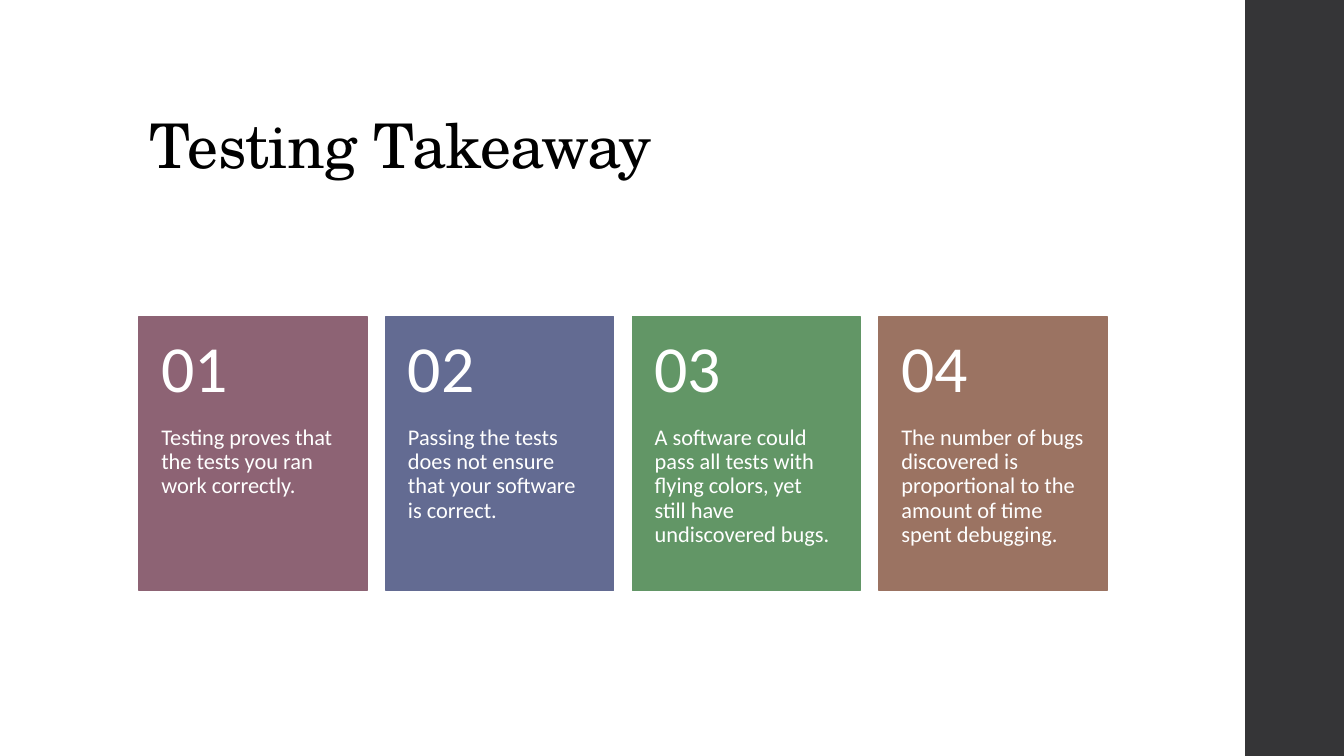
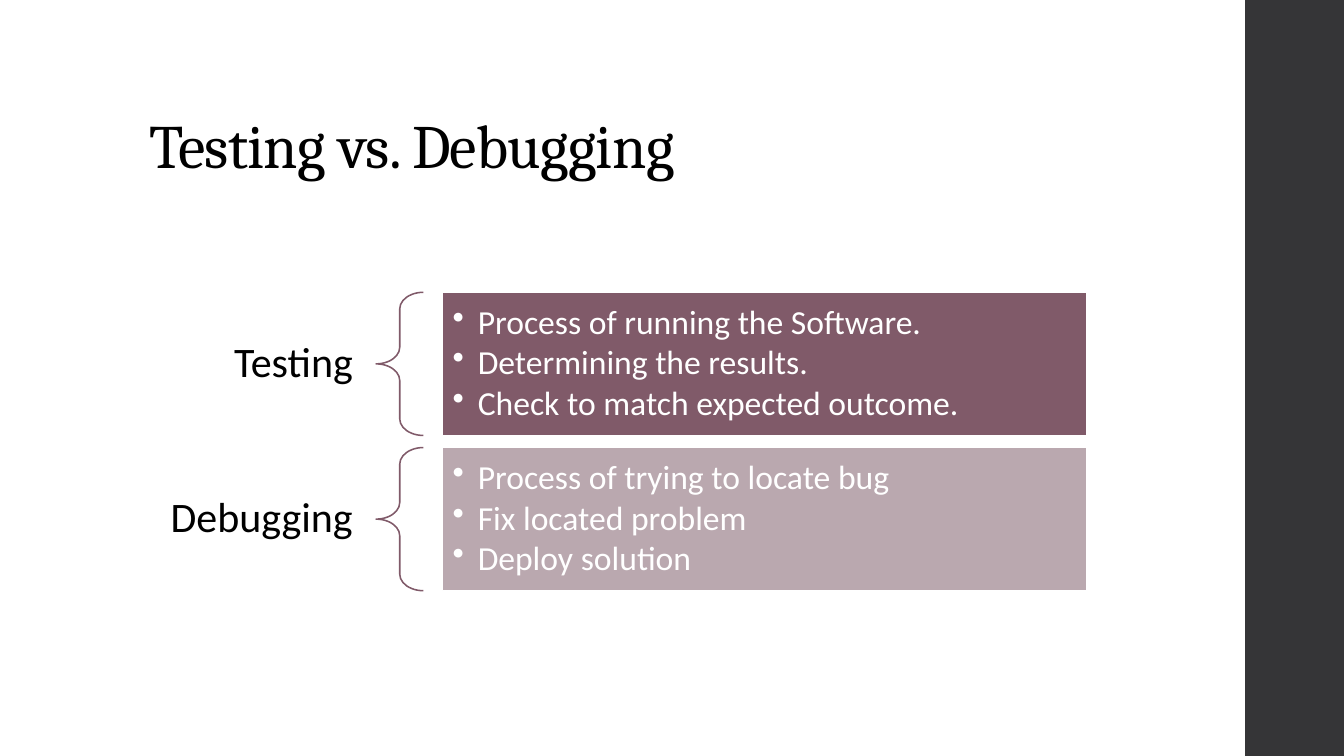
import pptx
import pptx.util
import pptx.dml.color
import pptx.enum.shapes
import pptx.enum.text
import pptx.oxml.ns
import lxml.etree

Inches = pptx.util.Inches
Pt = pptx.util.Pt
RGBColor = pptx.dml.color.RGBColor
Shape = pptx.enum.shapes.MSO_SHAPE
Anchor = pptx.enum.text.MSO_ANCHOR
Align = pptx.enum.text.PP_ALIGN

BLACK = RGBColor(0x00, 0x00, 0x00)
WHITE = RGBColor(0xFF, 0xFF, 0xFF)
DARK = RGBColor(0x35, 0x35, 0x37)
MAUVE = RGBColor(0x8D, 0x63, 0x74)
BLUE = RGBColor(0x63, 0x6B, 0x92)
GREEN = RGBColor(0x62, 0x96, 0x66)
BROWN = RGBColor(0x9B, 0x73, 0x62)
PLUM = RGBColor(0x80, 0x5A, 0x69)
PALE = RGBColor(0xBA, 0xA8, 0xAF)

WIDE, HIGH = 13.33, 7.5
LEFT = 1.38
BAND = 12.35


def draw(slide, kind, box, fill=None, line=None):
    """Add a preset shape; without a colour, its fill or line is left off."""
    shape = slide.shapes.add_shape(kind, *map(Inches, box))
    shape.shadow.inherit = False
    if fill is None:
        shape.fill.background()
    else:
        shape.fill.solid()
        shape.fill.fore_color.rgb = fill
    if line is None:
        shape.line.fill.background()
    else:
        shape.line.color.rgb = line
        shape.line.width = Pt(1.1)
    return shape


def write(shape, lines, size, color, pad, anchor=Anchor.MIDDLE,
          align=Align.LEFT, font="Calibri", bullet=False, track=0):
    """Fill a shape with paragraphs; pad is left, top, right, bottom."""
    frame = shape.text_frame
    frame.word_wrap = True
    frame.vertical_anchor = anchor
    (frame.margin_left, frame.margin_top,
     frame.margin_right, frame.margin_bottom) = map(Inches, pad)
    for i, text in enumerate(lines):
        para = frame.add_paragraph() if i else frame.paragraphs[0]
        para.alignment = align
        para.line_spacing = 0.9
        if bullet:
            para.space_after = Pt(3.2)
            props = para._p.get_or_add_pPr()
            props.set("marL", str(Inches(0.25)))
            props.set("indent", str(Inches(-0.25)))
            mark = lxml.etree.SubElement(props, pptx.oxml.ns.qn("a:buChar"))
            mark.set("char", "•")
        run = para.add_run()
        run.text = text
        run.font.name = font
        run.font.size = Pt(size)
        run.font.color.rgb = color
        if track:
            run._r.get_or_add_rPr().set("spc", str(track))


deck = pptx.Presentation()
deck.slide_width = Inches(WIDE)
deck.slide_height = Inches(HIGH)

# Shared band and title
slides = []
for title, font in [("Testing Takeaway", "TeX Gyre Schola"),
                    ("Testing vs. Debugging", "Cambria")]:
    slide = deck.slides.add_slide(deck.slide_layouts[6])
    draw(slide, Shape.RECTANGLE, (BAND, 0, WIDE - BAND, HIGH), DARK)
    box = slide.shapes.add_textbox(*map(Inches, (LEFT, 0.4, 10.6, 1.45)))
    write(box, [title], 44, BLACK, (0.1, 0.05, 0.1, 0.05),
          anchor=Anchor.BOTTOM, font=font, track=-50)
    slides.append(slide)
cards, pairs = slides

# Slide 1: four numbered cards
points = [
    (MAUVE, "Testing proves that the tests you ran work correctly."),
    (BLUE, "Passing the tests does not ensure that your software is correct."),
    (GREEN, "A software could pass all tests with flying colors, "
            "yet still have undiscovered bugs."),
    (BROWN, "The number of bugs discovered is proportional to the amount "
            "of time spent debugging."),
]
top, width, height, head = 3.14, 2.26, 2.72, 1.09
step = (9.6 - width) / (len(points) - 1)
for i, (color, text) in enumerate(points):
    x = LEFT + i * step
    draw(cards, Shape.RECTANGLE, (x, top, width, height), color, color)
    box = cards.shapes.add_textbox(
        *map(Inches, (x, top + head, width, height - head)))
    write(box, [text], 16, WHITE, (0.22, 0, 0.22, 0.36), anchor=Anchor.TOP)
    box = cards.shapes.add_textbox(*map(Inches, (x, top, width, head)))
    write(box, [f"{i + 1:02}"], 47, WHITE, (0.22, 0.18, 0.22, 0.18))

# Slide 2: two labels, each with a brace and a list
rows = [
    ("Testing", PLUM, ["Process of running the Software.",
                       "Determining the results.",
                       "Check to match expected outcome."]),
    ("Debugging", PALE, ["Process of trying to locate bug",
                         "Fix located problem",
                         "Deploy solution"]),
]
height = 1.42
for i, (label, color, lines) in enumerate(rows):
    y = 2.9 + i * 1.54
    box = pairs.shapes.add_textbox(*map(Inches, (LEFT, y, 2.35, height)))
    write(box, [label], 30, BLACK, (0.23, 0.08, 0.23, 0.08), align=Align.RIGHT)
    brace = draw(pairs, Shape.LEFT_BRACE, (3.73, y, 0.47, height), line=PLUM)
    brace.adjustments[0] = 0.35
    panel = draw(pairs, Shape.RECTANGLE, (4.39, y, 6.39, height), color, WHITE)
    write(panel, lines, 24, WHITE, (0.1, 0.1, 0.1, 0.1), bullet=True)

deck.save("out.pptx")
